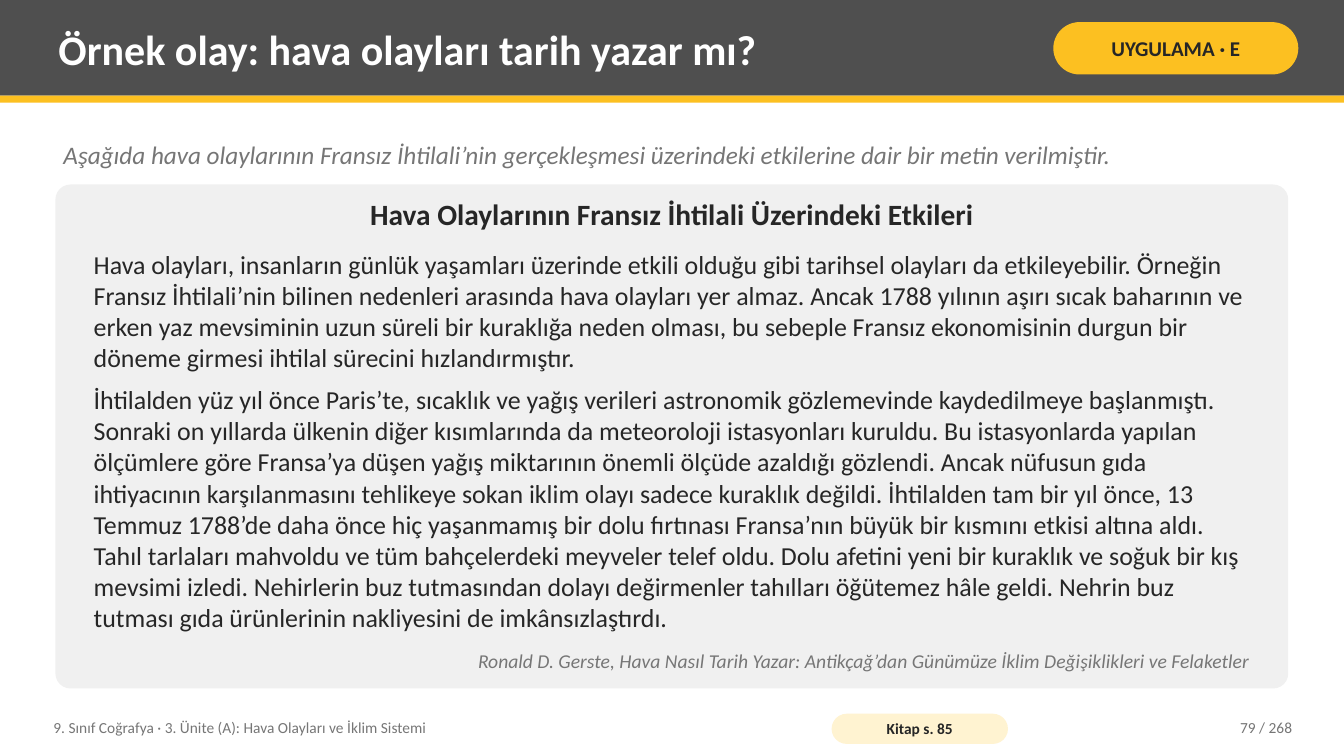
from pptx import Presentation
from pptx import util as u
from pptx.dml.color import RGBColor
from pptx.enum import shapes, text

WHITE = RGBColor(0xFF, 0xFF, 0xFF)
CHARCOAL = RGBColor(0x4F, 0x4F, 0x4F)
YELLOW = RGBColor(0xFC, 0xC0, 0x21)
CREAM = RGBColor(0xFF, 0xF3, 0xD1)
PANEL = RGBColor(0xF0, 0xF0, 0xF0)
INK = RGBColor(0x26, 0x26, 0x26)
GREY = RGBColor(0x76, 0x76, 0x76)

LEFT, CENTER, RIGHT = text.PP_ALIGN.LEFT, text.PP_ALIGN.CENTER, text.PP_ALIGN.RIGHT
MIDDLE, TOP = text.MSO_ANCHOR.MIDDLE, text.MSO_ANCHOR.TOP
TITLE_ONLY = 5
WIDTH, HEIGHT = 960, 540

CAUSES = [
    "Hava olayları, insanların günlük yaşamları üzerinde etkili olduğu gibi tarihsel olayları da "
    "etkileyebilir.",
    "Örneğin Fransız İhtilali’nin bilinen nedenleri arasında hava olayları yer almaz.",
    "Ancak 1788 yılının aşırı sıcak baharının ve erken yaz mevsiminin uzun süreli bir kuraklığa neden "
    "olması, bu sebeple Fransız ekonomisinin durgun bir döneme girmesi ihtilal sürecini hızlandırmıştır.",
]
RECORDS = [
    "İhtilalden yüz yıl önce Paris’te, sıcaklık ve yağış verileri astronomik gözlemevinde kaydedilmeye "
    "başlanmıştı.",
    "Sonraki on yıllarda ülkenin diğer kısımlarında da meteoroloji istasyonları kuruldu.",
    "Bu istasyonlarda yapılan ölçümlere göre Fransa’ya düşen yağış miktarının önemli ölçüde azaldığı "
    "gözlendi.",
    "Ancak nüfusun gıda ihtiyacının karşılanmasını tehlikeye sokan iklim olayı sadece kuraklık değildi.",
    "İhtilalden tam bir yıl önce, 13 Temmuz 1788’de daha önce hiç yaşanmamış bir dolu fırtınası "
    "Fransa’nın büyük bir kısmını etkisi altına aldı.",
    "Tahıl tarlaları mahvoldu ve tüm bahçelerdeki meyveler telef oldu.",
    "Dolu afetini yeni bir kuraklık ve soğuk bir kış mevsimi izledi.",
    "Nehirlerin buz tutmasından dolayı değirmenler tahılları öğütemez hâle geldi.",
    "Nehrin buz tutması gıda ürünlerinin nakliyesini de imkânsızlaştırdı.",
]


def write(box, lines, size=11, color=INK, bold=False, italic=False, align=LEFT,
          anchor=MIDDLE, inset=(5.76, 2.88), gap=0, font="Calibri"):
    frame = box.text_frame
    frame.word_wrap = True
    frame.auto_size = text.MSO_AUTO_SIZE.NONE
    frame.vertical_anchor = anchor
    frame.margin_left = frame.margin_right = u.Pt(inset[0])
    frame.margin_top = frame.margin_bottom = u.Pt(inset[1])
    for index, line in enumerate(lines):
        para = frame.add_paragraph() if index else frame.paragraphs[0]
        para.alignment = align
        para.space_after = u.Pt(gap if index < len(lines) - 1 else 0)
        span = para.add_run()
        span.text = line
        span.font.name = font
        span.font.size = u.Pt(size)
        span.font.bold = bold
        span.font.italic = italic
        span.font.color.rgb = color


class Page:
    def __init__(self, deck):
        self.slide = deck.slides.add_slide(deck.slide_layouts[TITLE_ONLY])
        self.items = self.slide.shapes

    def block(self, left, top, width, height, fill, radius=None):
        kind = shapes.MSO_SHAPE.RECTANGLE if radius is None else shapes.MSO_SHAPE.ROUNDED_RECTANGLE
        box = self.items.add_shape(kind, *map(u.Pt, (left, top, width, height)))
        if radius is not None:
            box.adjustments[0] = radius
        box.shadow.inherit = False
        box.fill.solid()
        box.fill.fore_color.rgb = fill
        box.line.fill.background()
        return box

    def pill(self, left, top, width, height, fill, label, **style):
        box = self.block(left, top, width, height, fill, 0.5)
        write(box, [label], bold=True, align=CENTER, **style)

    def label(self, left, top, width, height, *lines, **style):
        box = self.items.add_textbox(*map(u.Pt, (left, top, width, height)))
        write(box, lines, **style)

    def title(self, left, top, width, height, line, **style):
        box = self.items.title
        box.left, box.top, box.width, box.height = map(u.Pt, (left, top, width, height))
        self.items._spTree.append(box._element)
        write(box, [line], **style)


def main():
    deck = Presentation()
    deck.slide_width, deck.slide_height = u.Pt(WIDTH), u.Pt(HEIGHT)
    page = Page(deck)

    page.block(0, 0, WIDTH, 68.4, CHARCOAL)
    page.block(0, 68.4, WIDTH, 5, YELLOW)
    page.title(36, 5, 702, 59, "Örnek olay: hava olayları tarih yazar mı?",
               size=30, color=WHITE, bold=True)
    page.pill(752.4, 15.8, 175, 37.4, YELLOW, "UYGULAMA · E", size=15, inset=(3.6, 1.44))

    page.label(39.6, 92.2, 880.6, 36,
               "Aşağıda hava olaylarının Fransız İhtilali’nin gerçekleşmesi üzerindeki etkilerine "
               "dair bir metin verilmiştir.", size=18, color=GREY, italic=True)
    page.block(39.6, 131.8, 880.6, 360, PANEL, 0.03)

    inner_left, inner_width = 61.2, 837.4
    page.label(inner_left, 136.8, inner_width, 32.4,
               "Hava Olaylarının Fransız İhtilali Üzerindeki Etkileri",
               size=21, bold=True, align=CENTER)
    page.label(inner_left, 171.4, inner_width, 286.6, " ".join(CAUSES), " ".join(RECORDS),
               size=18.5, gap=7.8)
    page.label(inner_left, 460.8, inner_width, 28.8,
               "Ronald D. Gerste, Hava Nasıl Tarih Yazar: Antikçağ’dan Günümüze İklim "
               "Değişiklikleri ve Felaketler",
               size=14, color=GREY, italic=True, align=RIGHT, anchor=TOP)

    page.label(32.4, 506.9, 547.2, 25.9,
               "9. Sınıf Coğrafya · 3. Ünite (A): Hava Olayları ve İklim Sistemi", color=GREY)
    page.pill(594, 509.8, 126, 21.6, CREAM, "Kitap s. 85", inset=(2.88, 0))
    page.label(813.6, 506.9, 115.2, 25.9, "79 / 268", color=GREY, align=RIGHT)

    deck.save("out.pptx")


if __name__ == "__main__":
    main()
